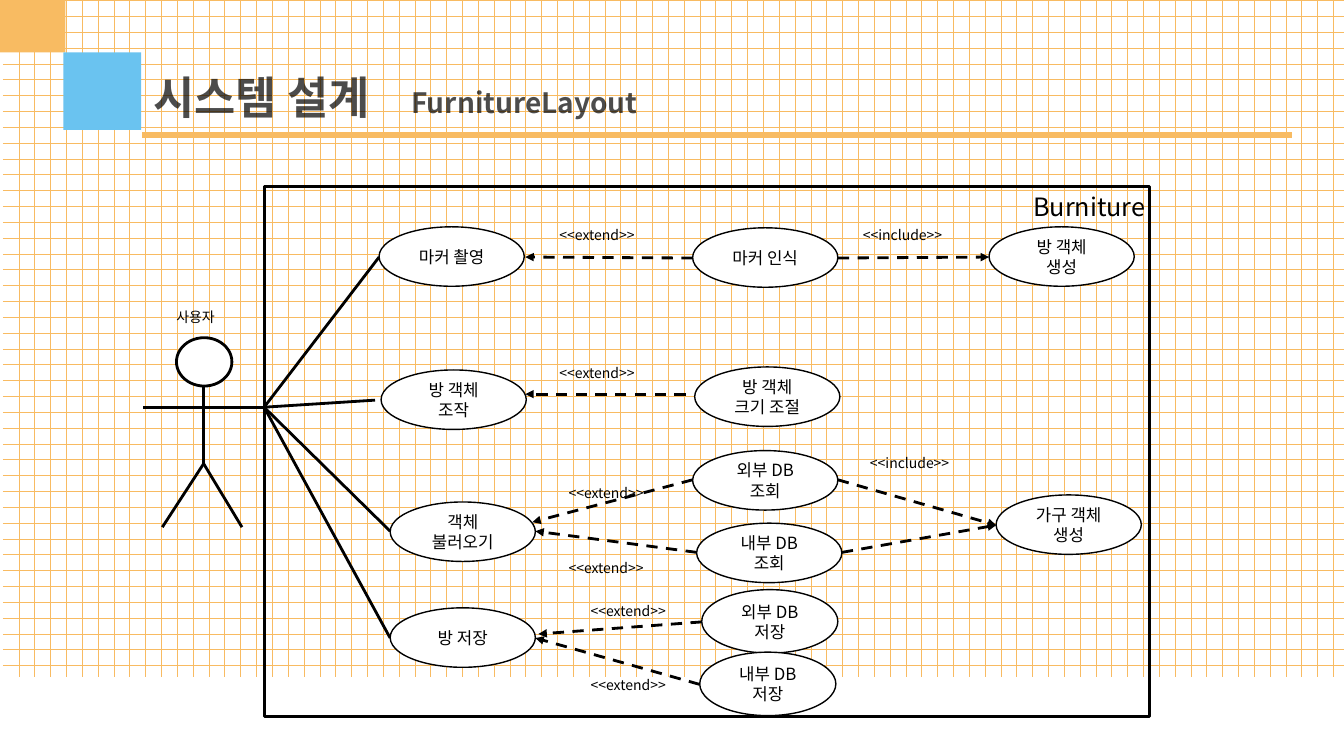
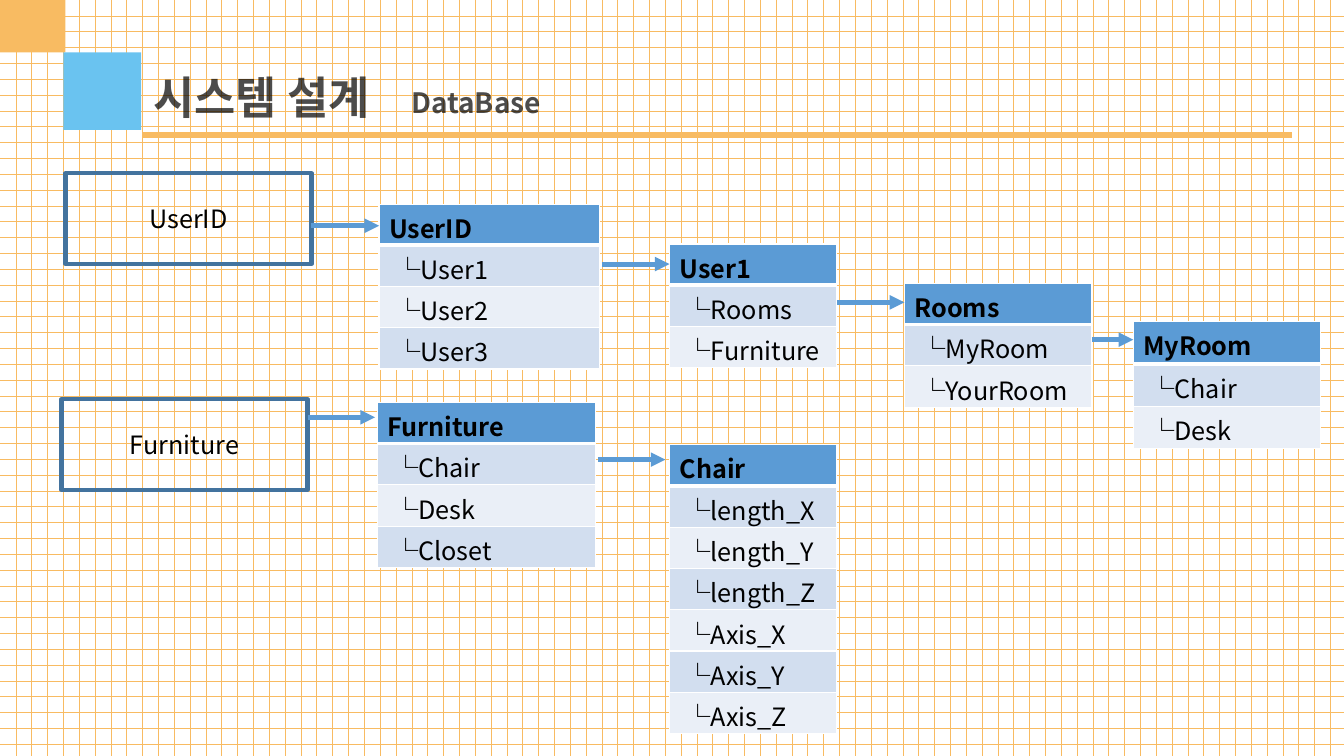
from lxml.etree import SubElement
from pptx import Presentation
from pptx.dml.color import RGBColor
from pptx.enum.dml import MSO_LINE, MSO_PATTERN
from pptx.enum.shapes import MSO_CONNECTOR, MSO_SHAPE as SHAPE
from pptx.enum.text import MSO_ANCHOR as ANCHOR, MSO_AUTO_SIZE as AUTO_SIZE, PP_ALIGN as ALIGN
from pptx.oxml.ns import qn
from pptx.util import Inches, Pt

COLORS = {
    "orange": "F8BB62", "sky": "6AC3F0", "black": "000000", "white": "FFFFFF",
    "box": "43739E", "blue": "5B9BD5", "band_dark": "D2DEEF", "band_light": "EAEFF7",
}
FONT = "Noto Sans CJK KR"
WIDTH, HEIGHT = 13.33, 7.5


def color(name):
    return RGBColor.from_string(COLORS[name])


def place(left, top, width, height):
    return [Inches(value) for value in (left, top, width, height)]


class Deck:
    def __init__(self):
        self.presentation = Presentation()
        self.presentation.slide_width = Inches(WIDTH)
        self.presentation.slide_height = Inches(HEIGHT)
        self.slide = None

    def new_slide(self, subtitle, grid_left=0, grid_top=0):
        """Start a slide with the grid, corner squares, rule and heading."""
        self.slide = self.presentation.slides.add_slide(self.presentation.slide_layouts[5])
        grid = self.shape(SHAPE.RECTANGLE, (grid_left, grid_top, WIDTH, HEIGHT))
        grid.fill.patterned()
        grid.fill.pattern = MSO_PATTERN.DOTTED_GRID
        grid.fill.fore_color.rgb = color("orange")
        grid.fill.back_color.rgb = color("white")
        self.shape(SHAPE.RECTANGLE, (0, 0, 0.65, 0.52), fill="orange")
        self.shape(SHAPE.RECTANGLE, (0.63, 0.52, 0.77, 0.77), fill="sky")
        self.line((1.41, 1.34), (12.81, 1.34), "orange", 3.75)

        title = self.slide.shapes.title
        title.left, title.top, title.width, title.height = place(1.42, 0.64, 5.37, 0.64)
        title.element.getparent().append(title.element)
        self.put_text(title, ["시스템 설계"], 32, bold=True)
        heading = self.text(subtitle, (3.98, 0.8, 5.37, 0.44), 20, bold=True)
        for shape in (title, heading):
            for text_color in shape.element.iter(qn("a:srgbClr")):
                SubElement(text_color, qn("a:alpha"), val="70000")

    def style_text(self, frame, size, bold, align):
        for paragraph in frame.paragraphs:
            paragraph.alignment = align
            for run in paragraph.runs:
                for name, value in {"size": Pt(size), "bold": bold, "name": FONT}.items():
                    setattr(run.font, name, value)
                run.font.color.rgb = color("black")
        for latin in list(frame._txBody.iter(qn("a:latin"))):
            east_asian = SubElement(latin.getparent(), qn("a:ea"), typeface=FONT)
            latin.addnext(east_asian)

    def put_text(self, shape, lines, size, bold=False, align=ALIGN.LEFT,
                 anchor=ANCHOR.TOP, auto_size=AUTO_SIZE.SHAPE_TO_FIT_TEXT):
        frame = shape.text_frame
        frame.text = "\n".join(lines)
        settings = {"word_wrap": True, "vertical_anchor": anchor, "auto_size": auto_size}
        for name, value in settings.items():
            setattr(frame, name, value)
        self.style_text(frame, size, bold, align)

    def text(self, text, box, size, bold=False):
        shape = self.slide.shapes.add_textbox(*place(*box))
        self.put_text(shape, [text], size, bold)
        return shape

    def shape(self, kind, box, fill=None, line=None, weight=1, lines=None, size=12):
        shape = self.slide.shapes.add_shape(kind, *place(*box))
        shape.shadow.inherit = False
        if fill:
            shape.fill.solid()
            shape.fill.fore_color.rgb = color(fill)
        else:
            shape.fill.background()
        if line:
            shape.line.color.rgb = color(line)
            shape.line.width = Pt(weight)
        else:
            shape.line.fill.background()
        if lines:
            self.put_text(shape, lines, size, align=ALIGN.CENTER,
                          anchor=ANCHOR.MIDDLE, auto_size=AUTO_SIZE.NONE)
        return shape

    def line(self, start, end, line_color="black", weight=2, dashed=False, arrow=False):
        ends = [Inches(value) for value in (*start, *end)]
        connector = self.slide.shapes.add_connector(MSO_CONNECTOR.STRAIGHT, *ends)
        connector.line.color.rgb = color(line_color)
        connector.line.width = Pt(weight)
        if dashed:
            connector.line.dash_style = MSO_LINE.DASH
        properties = connector.element.spPr
        if arrow:
            SubElement(properties.find(qn("a:ln")), qn("a:tailEnd"), type="triangle")
        SubElement(properties, qn("a:effectLst"))

    def use_case(self, lines, left, top, width=1.44, height=0.59):
        self.shape(SHAPE.OVAL, (left, top, width, height), "white", "black", lines=lines)

    def tree_table(self, left, top, width, name, children, header=0.41, row=0.41):
        """Draw a header row with its child nodes in banded rows below."""
        count = len(children)
        graphic = self.slide.shapes.add_table(
            count + 1, 1, *place(left, top, width, header + count * row))
        table = graphic.table
        table.first_row = table.horz_banding = False
        for index, text in enumerate([name] + [f"└{child}" for child in children]):
            table.rows[index].height = Inches(row if index else header)
            cell = table.cell(index, 0)
            cell.text = text
            cell.margin_left = Inches(0.16 if index else 0.1)
            self.style_text(cell.text_frame, 18, index == 0, ALIGN.LEFT)
            cell.fill.solid()
            band = "band_dark" if index % 2 else "band_light"
            cell.fill.fore_color.rgb = color(band if index else "blue")
        for index, properties in enumerate(graphic.element.iter(qn("a:tcPr"))):
            weights = {"lnL": 1, "lnR": 1, "lnT": 3 if index == 1 else 1,
                       "lnB": 1 if index else 3}
            for position, (side, weight) in enumerate(weights.items()):
                border = SubElement(properties, qn(f"a:{side}"), w=str(Pt(weight)))
                fill = SubElement(border, qn("a:solidFill"))
                SubElement(fill, qn("a:srgbClr"), val=COLORS["white"])
                properties.insert(position, border)


def draw_use_cases(deck):
    deck.new_slide("FurnitureLayout", grid_left=0.03, grid_top=-0.78)

    deck.shape(SHAPE.OVAL, (1.75, 3.35, 0.55, 0.48), "white", "black", 2)
    hip, hand = (2.02, 4.6), (2.62, 4.04)
    body = [((2.02, 3.84), hip), (hip, (1.61, 5.23)), (hip, (2.4, 5.23)), ((1.42, 4.04), hand)]
    for start, end in body:
        deck.line(start, end)
    deck.text("사용자", (1.65, 3.01, 1.42, 0.27), 10)

    deck.shape(SHAPE.RECTANGLE, (2.62, 1.85, 8.78, 5.26), line="black", weight=2)
    deck.text("Burniture", (10.15, 1.85, 1.83, 0.4), 18)
    for end in [(3.76, 2.55), (3.72, 3.97), (3.87, 5.27), (3.87, 6.33)]:
        deck.line(hand, end)

    use_cases = [
        (["마커 촬영"], 3.76, 2.25),
        (["마커 인식"], 6.87, 2.26),
        (["방 객체", "생성"], 9.81, 2.25),
        (["방 객체", "조작"], 3.78, 3.67),
        (["방 객체", "크기 조절"], 6.89, 3.64),
        (["객체 불러오기"], 3.87, 4.98),
        (["외부 DB", "조회"], 6.87, 4.47),
        (["내부 DB", "조회"], 6.91, 5.19),
        (["가구 객체 생성"], 9.88, 4.91),
        (["방 저장"], 3.87, 6.03),
        (["외부 DB 저장"], 6.96, 5.85, 1.35, 0.63),
        (["내부 DB 저장"], 6.94, 6.47, 1.35, 0.63),
    ]
    for use_case in use_cases:
        deck.use_case(*use_case)

    relations = [
        ((6.87, 2.56), (5.21, 2.55)),
        ((8.31, 2.56), (9.81, 2.55)),
        ((6.8, 3.91), (5.21, 3.91)),
        ((6.87, 4.76), (5.28, 5.18)),
        ((6.91, 5.48), (5.31, 5.27)),
        ((8.31, 4.76), (9.88, 5.21)),
        ((8.35, 5.48), (9.88, 5.21)),
        ((6.96, 6.17), (5.34, 6.29)),
        ((6.94, 6.79), (5.31, 6.33)),
    ]
    for start, end in relations:
        deck.line(start, end, dashed=True, arrow=True)

    labels = {
        "<<extend>>": [(5.45, 2.2), (5.45, 3.57), (5.54, 4.76), (5.54, 5.5),
                       (5.76, 5.93), (5.76, 6.66)],
        "<<include>>": [(8.46, 2.2), (8.53, 4.46)],
    }
    for label, positions in labels.items():
        for left, top in positions:
            deck.text(label, (left, top, 1.42, 0.27), 10)


def draw_database(deck):
    deck.new_slide("DataBase")
    for name, left, top in [("UserID", 0.65, 1.72), ("Furniture", 0.61, 3.96)]:
        deck.shape(SHAPE.RECTANGLE, (left, top, 2.44, 0.9), line="box", weight=3,
                   lines=[name], size=18)

    deck.tree_table(3.76, 2.03, 2.19, "UserID", ["User1", "User2", "User3"], header=0.39)
    deck.tree_table(3.74, 3.99, 2.17, "Furniture", ["Chair", "Desk", "Closet"])
    deck.tree_table(6.64, 2.42, 1.66, "User1", ["Rooms", "Furniture"])
    dimensions = [f"{kind}_{axis}" for kind in ("length", "Axis") for axis in "XYZ"]
    deck.tree_table(6.64, 4.41, 1.66, "Chair", dimensions)
    deck.tree_table(8.97, 2.81, 1.86, "Rooms", ["MyRoom", "YourRoom"])
    deck.tree_table(11.24, 3.19, 1.86, "MyRoom", ["Chair", "Desk"], header=0.42, row=0.42)

    arrows = [(3.08, 3.76, 2.24), (3.05, 3.72, 4.14), (5.93, 6.6, 4.56),
              (5.97, 6.64, 2.62), (8.3, 8.97, 3), (10.83, 11.24, 3.37)]
    for left, right, top in arrows:
        deck.line((left, top), (right, top), "blue", 3.5, arrow=True)


def main():
    deck = Deck()
    draw_use_cases(deck)
    draw_database(deck)
    deck.presentation.save("out.pptx")


if __name__ == "__main__":
    main()
